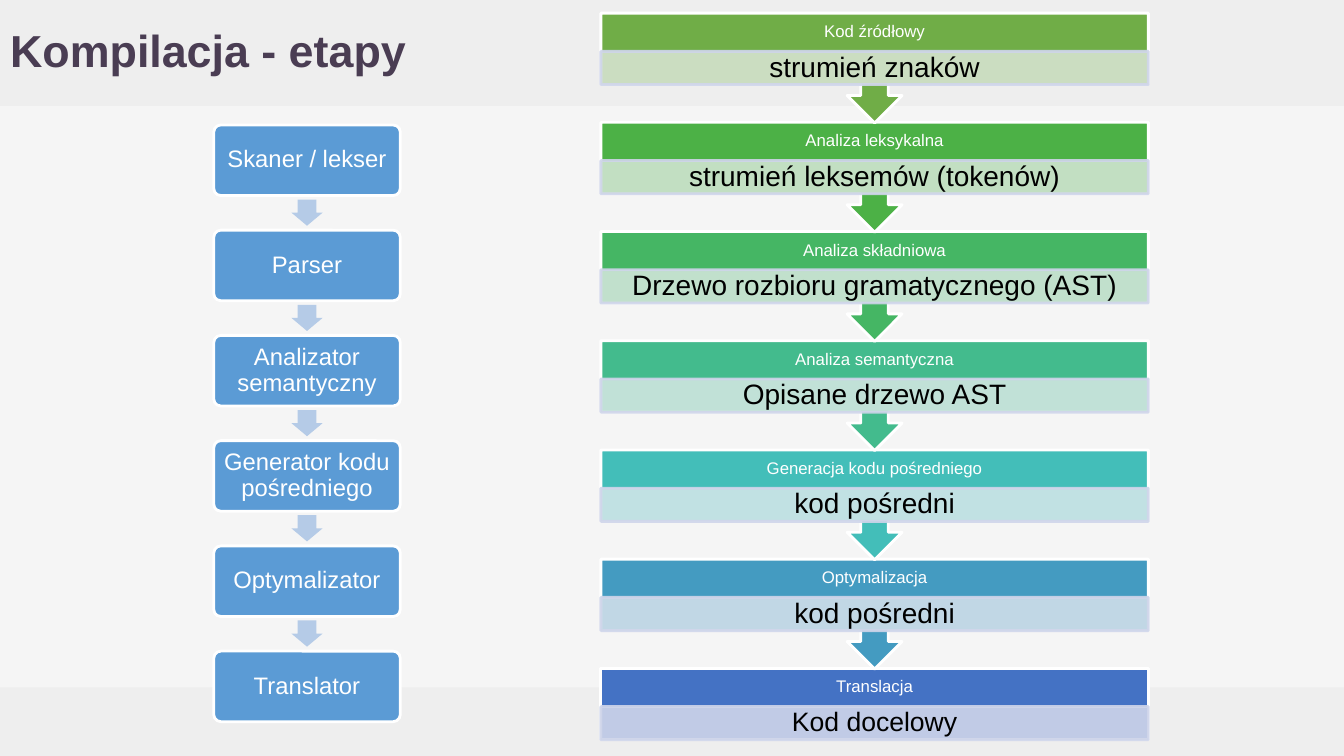
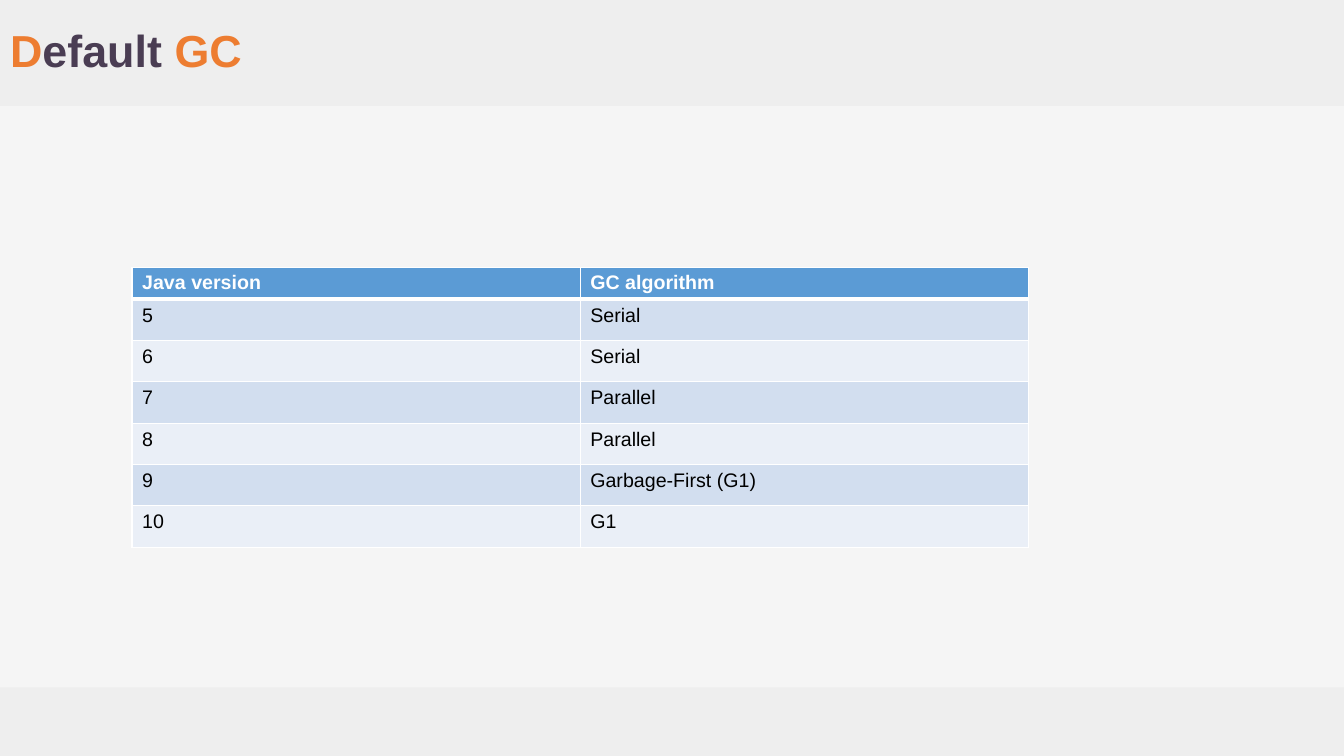
from lxml.etree import SubElement
from pptx import Presentation
from pptx.dml.color import RGBColor
from pptx.enum.shapes import MSO_SHAPE as SHAPE
from pptx.enum.text import MSO_ANCHOR as ANCHOR, PP_ALIGN as ALIGN
from pptx.oxml.ns import qn
from pptx.util import Inches, Pt

C = {
    "page": "F5F5F5", "band": "EEEEEE", "title": "4A3D53", "accent": "ED7D31",
    "white": "FFFFFF", "black": "000000", "blue": "5B9BD5", "arrow": "B5CBE7",
    "edge": "CFD5EA", "odd": "D2DEEF", "even": "EAEFF7",
}
FONT = "Arial"


def write(tf, text, size, color, bold=False, align=ALIGN.CENTER, spacing=0.9,
          insets=None):
    if insets:
        tf.margin_left, tf.margin_top, tf.margin_right, tf.margin_bottom = map(Inches, insets)
        tf.vertical_anchor = ANCHOR.MIDDLE
        tf.word_wrap = True
    p = tf.paragraphs[0]
    p.alignment = align
    p.line_spacing = spacing
    runs = [(text, color)] if isinstance(text, str) else text
    for run_text, run_color in runs:
        r = p.add_run()
        r.text = run_text
        r.font.name = FONT
        r.font.size = Pt(size)
        r.font.bold = bold
        r.font.color.rgb = RGBColor.from_string(run_color)


def draw(slide, kind, box, fill, line=None, opacity=None):
    sp = slide.shapes.add_shape(kind, *map(Inches, box))
    sp.shadow.inherit = False
    sp.fill.solid()
    sp.fill.fore_color.rgb = RGBColor.from_string(fill)
    if line:
        sp.line.color.rgb = RGBColor.from_string(line)
        sp.line.width = Pt(2)
    else:
        sp.line.fill.background()
    if opacity:
        for clr in sp.element.spPr.iter(qn("a:srgbClr")):
            SubElement(clr, qn("a:alpha"), val=str(opacity * 1000))
    return sp


prs = Presentation()
prs.slide_width, prs.slide_height = Inches(13.33), Inches(7.5)
master, layout = prs.slide_master, prs.slide_layouts[5]
master.background.fill.solid()
master.background.fill.fore_color.rgb = RGBColor.from_string(C["page"])
title = layout.placeholders[0]
title.left, title.top = Inches(0), Inches(0)
title.width, title.height = Inches(11.91), Inches(1.05)

titles = [
    [("Kompilacja - etapy", C["title"])],
    [("D", C["accent"]), ("efault ", C["title"]), ("GC", C["accent"])],
]
slides = []
for runs in titles:
    s = prs.slides.add_slide(layout)
    write(s.shapes.title.text_frame, runs, 32, C["title"], bold=True,
          align=ALIGN.LEFT, insets=(0.1, 0.1, 0.1, 0.1))
    slides.append(s)
stages, collectors = slides

for i, (top, height) in enumerate([(0, 1.05), (6.82, 0.68)]):
    band = draw(stages, SHAPE.RECTANGLE, (0, top, 13.33, height), C["band"])
    band.element.nvSpPr.cNvPr.set("id", str(100 + i))
    master.shapes.element.insert(2, band.element)

flow = [
    ("Kod źródłowy", "strumień znaków", "70AD47", "D5E3CF"),
    ("Analiza leksykalna", "strumień leksemów (tokenów)", "4CB146", "CFE4D0"),
    ("Analiza składniowa", "Drzewo rozbioru gramatycznego (AST)", "45B664", "CFE5D8"),
    ("Analiza semantyczna", "Opisane drzewo AST", "43BB8D", "CFE6E0"),
    ("Generacja kodu pośredniego", "kod pośredni", "43BEB9", "CFE5E8"),
    ("Optymalizacja", "kod pośredni", "449BC1", "CFDEE9"),
    ("Translacja", "Kod docelowy", "4472C4", "CFD5EA"),
]
left, width, first, last = 5.96, 5.43, 0.13, 6.63
pitch = (last - first) / (len(flow) - 1)
for i, (stage, product, fill, tint) in reversed(list(enumerate(flow))):
    top = first + i * pitch
    final = i == len(flow) - 1
    kind, height = (SHAPE.RECTANGLE, 0.71) if final else (SHAPE.DOWN_ARROW_CALLOUT, 1.09)
    sp = draw(stages, kind, (left, top, width, height), fill, C["white"])
    write(sp.text_frame, stage, 12, C["white"], insets=(0.09, 0, 0.09, 0.33))
    sp = draw(stages, SHAPE.RECTANGLE, (left, top + 0.38, width, 0.33), tint, C["edge"], 90)
    write(sp.text_frame, product, 19 if final else 20, C["black"],
          insets=(0.16, 0.03, 0.16, 0.03))

tools = ["Skaner / lekser", "Parser", "Analizator semantyczny",
         "Generator kodu pośredniego", "Optymalizator", "Translator"]
first, last = 1.24, 6.46
pitch = (last - first) / (len(tools) - 1)
for i, tool in enumerate(tools):
    top = first + i * pitch
    sp = draw(stages, SHAPE.ROUNDED_RECTANGLE, (2.12, top, 1.85, 0.7), C["blue"], C["white"])
    sp.adjustments[0] = 0.1
    write(sp.text_frame, tool, 17, C["white"], insets=(0.07, 0.07, 0.07, 0.07))
    if i < len(tools) - 1:
        sp = draw(stages, SHAPE.DOWN_ARROW, (2.89, top + 0.74, 0.31, 0.26), C["arrow"])
        sp.adjustments[0], sp.adjustments[1] = 0.6, 0.5

rows = [
    ("Java version", "GC algorithm"),
    ("5", "Serial"),
    ("6", "Serial"),
    ("7", "Parallel"),
    ("8", "Parallel"),
    ("9", "Garbage-First (G1)"),
    ("10", "G1"),
]
table = collectors.shapes.add_table(
    len(rows), 2, Inches(1.31), Inches(2.65), Inches(8.89), Inches(2.77)).table
for i, row in enumerate(rows):
    header = i == 0
    table.rows[i].height = Inches(0.31 if header else 0.41)
    fill = C["blue"] if header else C["odd"] if i % 2 else C["even"]
    for j, text in enumerate(row):
        cell = table.cell(i, j)
        tcPr = cell._tc.get_or_add_tcPr()
        for side in "LRTB":
            thick = (i, side) in [(0, "B"), (1, "T")]
            ln = SubElement(tcPr, qn(f"a:ln{side}"), w=str(Pt(3 if thick else 1)))
            SubElement(SubElement(ln, qn("a:solidFill")), qn("a:srgbClr"), val=C["white"])
        cell.fill.solid()
        cell.fill.fore_color.rgb = RGBColor.from_string(fill)
        write(cell.text_frame, text, 14, C["white"] if header else C["black"],
              bold=header, align=ALIGN.LEFT, spacing=1.0)

prs.save("out.pptx")
